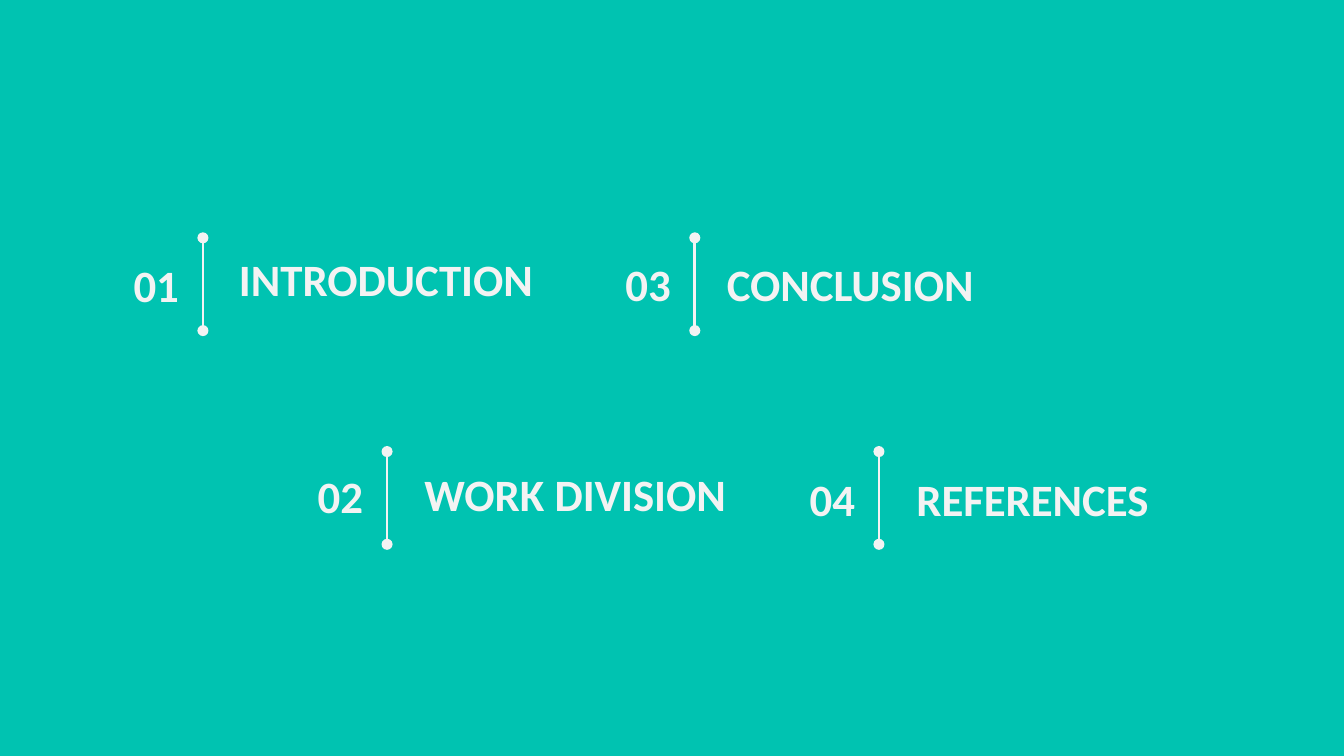
from lxml.etree import SubElement
from pptx import Presentation
from pptx.dml.color import RGBColor
from pptx.enum.shapes import MSO_CONNECTOR as Connector
from pptx.enum.text import MSO_ANCHOR as Anchor, PP_ALIGN as Align
from pptx.oxml.ns import qn
from pptx.util import Inches, Pt

BACKGROUND = "00C3B1"
LIGHT = "F3F3F3"
TEXT_HEIGHT = 0.46
NUMBER_WIDTH = 0.66
TITLE_WIDTH = 2.56
DIVIDER_OFFSET = 0.74
DIVIDER_HEIGHT = 0.69


def color(value):
    return RGBColor.from_string(value)


def add_label(slide, text, left, top, width, alignment):
    shape = slide.shapes.add_textbox(
        Inches(left), Inches(top), Inches(width), Inches(TEXT_HEIGHT))
    text_frame = shape.text_frame
    text_frame.word_wrap = True
    text_frame.vertical_anchor = Anchor.MIDDLE
    text_frame.margin_left = text_frame.margin_right = Inches(0.1)
    text_frame.margin_top = text_frame.margin_bottom = Inches(0.1)
    text_frame.text = text
    paragraph = text_frame.paragraphs[0]
    paragraph.alignment = alignment
    font = paragraph.runs[0].font
    font.name = "Calibri"
    font.size = Pt(24)
    font.bold = True
    font.color.rgb = color(LIGHT)


def add_divider(slide, left, top):
    connector = slide.shapes.add_connector(
        Connector.STRAIGHT, Inches(left), Inches(top),
        Inches(left), Inches(top + DIVIDER_HEIGHT))
    connector.line.color.rgb = color(LIGHT)
    connector.line.width = Pt(1.5)
    line = connector.line._get_or_add_ln()
    for end in ("headEnd", "tailEnd"):
        SubElement(line, qn(f"a:{end}"), type="oval")
    SubElement(connector._element.spPr, qn("a:effectLst"))


def add_agenda_item(slide, left, top, number, title, number_drop, title_gap, title_drop):
    divider = left + DIVIDER_OFFSET
    add_label(slide, title, divider + title_gap, top + title_drop, TITLE_WIDTH, Align.LEFT)
    add_label(slide, number, left, top + number_drop, NUMBER_WIDTH, Align.RIGHT)
    add_divider(slide, divider, top)


def add_agenda(slide, left, top):
    column_step, row_step, row_indent = 3.66, 1.59, 1.37
    items = [
        ("INTRODUCTION", 0.12, 0.17, 0.07),
        ("WORK DIVISION", 0.1, 0.18, 0.08),
        ("CONCLUSION", 0.11, 0.14, 0.11),
        ("REFERENCES", 0.12, 0.18, 0.12),
    ]
    for index, (title, number_drop, title_gap, title_drop) in enumerate(items):
        column, row = divmod(index, 2)
        add_agenda_item(
            slide, left + column * column_step + row * row_indent,
            top + row * row_step, f"{index + 1:02}", title,
            number_drop, title_gap, title_drop)


def main():
    presentation = Presentation()
    presentation.slide_width = Inches(10)
    presentation.slide_height = Inches(10 * 9 / 16)
    slide = presentation.slides.add_slide(presentation.slide_layouts[6])
    fill = slide.background.fill
    fill.solid()
    fill.fore_color.rgb = color(BACKGROUND)
    add_agenda(slide, 0.77, 1.77)
    presentation.save("out.pptx")


if __name__ == "__main__":
    main()
